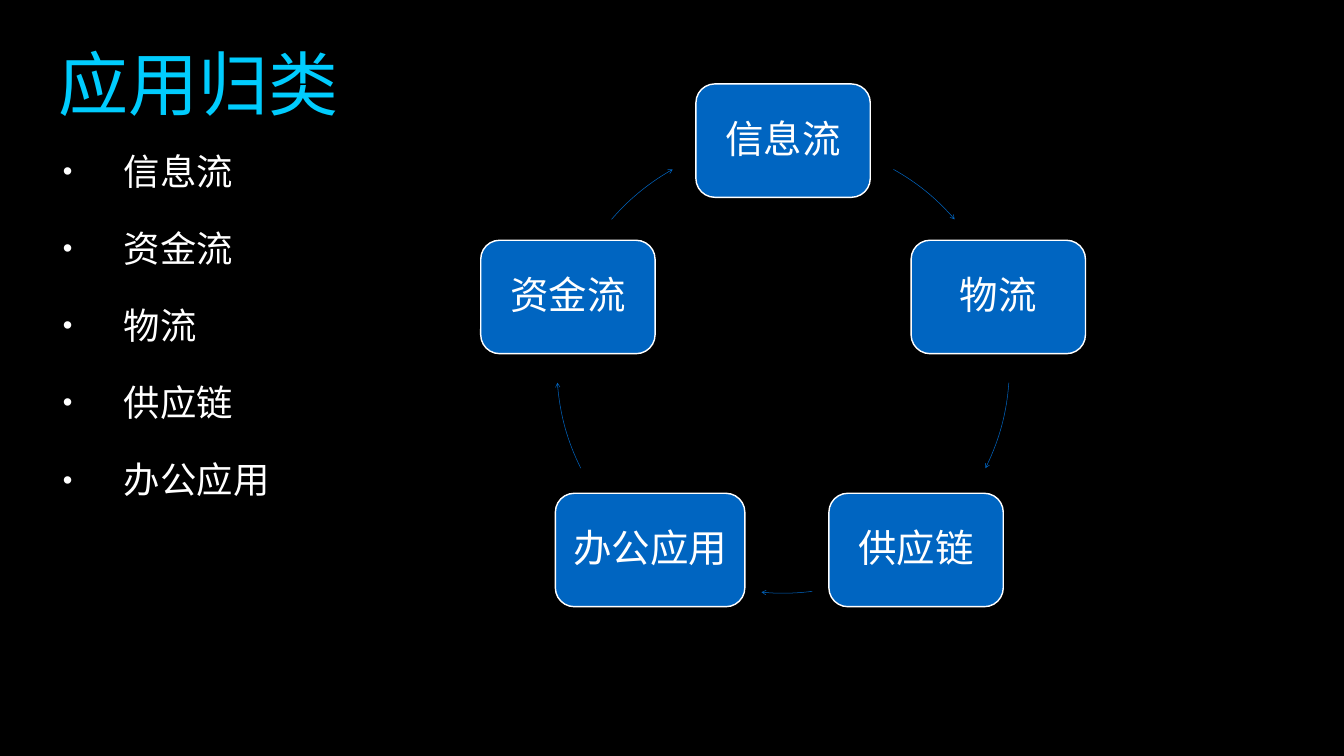
import math
from dataclasses import dataclass

from lxml import etree
from pptx import Presentation
from pptx.dml.color import RGBColor
from pptx.enum.shapes import MSO_SHAPE
from pptx.enum.text import MSO_ANCHOR, MSO_AUTO_SIZE, PP_ALIGN
from pptx.oxml.ns import qn
from pptx.util import Pt

EMU_PER_PX = 9144  # 100 px to the inch
ROUNDED, ARC = MSO_SHAPE.ROUNDED_RECTANGLE, MSO_SHAPE.ARC
LEFT, CENTER = PP_ALIGN.LEFT, PP_ALIGN.CENTER
TOP, MIDDLE = MSO_ANCHOR.TOP, MSO_ANCHOR.MIDDLE
NO_AUTOFIT = MSO_AUTO_SIZE.NONE


@dataclass(frozen=True)
class Theme:
    background: str = "000000"
    title: str = "00CCFE"
    text: str = "FFFFFF"
    accent: str = "0065C1"
    cjk_font: str = "Noto Sans CJK SC"
    node_font: str = "Roboto"
    title_size: int = 100
    body_size: int = 52
    node_size: int = 55
    outline: float = 2
    arrow: float = 0.75


def px(value):
    return round(value * EMU_PER_PX)


def apply_format(target, values):
    for name, value in values.items():
        setattr(target, name, value)


class SlideBuilder:
    """Holds the theme and the slide that is being filled."""

    def __init__(self, slide, theme):
        self.slide, self.theme = slide, theme
        slide.background.fill.solid()
        slide.background.fill.fore_color.rgb = RGBColor.from_string(theme.background)

    def place(self, shape, left, top, width, height):
        apply_format(shape, {"left": px(left), "top": px(top),
                             "width": px(width), "height": px(height)})

    def frame(self, shape, anchor, inset):
        margins = {f"margin_{side}": px(inset) for side in ("left", "top", "right", "bottom")}
        apply_format(shape.text_frame, {"word_wrap": True, "auto_size": NO_AUTOFIT,
                                        "vertical_anchor": anchor, **margins})
        return shape.text_frame

    def add_text(self, paragraph, text, font, size, color, **layout):
        apply_format(paragraph, layout)
        run = paragraph.add_run()
        run.text = text
        apply_format(run.font, {"name": font, "size": Pt(size)})
        run.font.color.rgb = RGBColor.from_string(color)
        etree.SubElement(run.font._element, qn("a:ea"), typeface=self.theme.cjk_font)

    def title(self, text, box):
        shape = self.slide.shapes.title
        self.place(shape, *box)
        frame = self.frame(shape, MIDDLE, 0)
        self.add_text(frame.paragraphs[0], text, self.theme.cjk_font,
                      self.theme.title_size, self.theme.title, alignment=LEFT)

    def bullets(self, items, box, indent):
        shape = self.slide.placeholders[1]
        self.place(shape, *box)
        frame = self.frame(shape, TOP, 8)
        for index, item in enumerate(items):
            paragraph = frame.add_paragraph() if index else frame.paragraphs[0]
            self.add_text(paragraph, item, self.theme.cjk_font, self.theme.body_size,
                          self.theme.text, alignment=LEFT, line_spacing=0.9,
                          space_before=Pt(54))
            properties = paragraph._p.get_or_add_pPr()
            properties.set("marL", str(px(indent)))
            properties.set("indent", str(-px(indent)))
            etree.SubElement(properties, qn("a:buSzPct"), val="75000")
            etree.SubElement(properties, qn("a:buChar"), char="•")

    def node(self, text, center_x, center_y, width, height):
        shape = self.slide.shapes.add_shape(ROUNDED, 0, 0, 0, 0)
        self.place(shape, center_x - width / 2, center_y - height / 2, width, height)
        shape.shadow.inherit = False
        shape.fill.solid()
        shape.fill.fore_color.rgb = RGBColor.from_string(self.theme.accent)
        shape.line.color.rgb = RGBColor.from_string(self.theme.text)
        shape.line.width = Pt(self.theme.outline)
        frame = self.frame(shape, MIDDLE, 23)
        self.add_text(frame.paragraphs[0], text, self.theme.node_font, self.theme.node_size,
                      self.theme.text, alignment=CENTER, line_spacing=0.9, space_after=Pt(19))

    def arc_arrow(self, center_x, center_y, radius, start, end):
        """Draw a clockwise arc between two angles in degrees, 0 pointing right."""
        shape = self.slide.shapes.add_shape(ARC, 0, 0, 0, 0)
        self.place(shape, center_x - radius, center_y - radius, 2 * radius, 2 * radius)
        for index, angle in enumerate((start, end)):
            shape.adjustments[index] = angle % 360 * 0.6  # 60000 units a degree
        shape.shadow.inherit = False
        shape.fill.background()
        shape.line.color.rgb = RGBColor.from_string(self.theme.accent)
        shape.line.width = Pt(self.theme.arrow)
        etree.SubElement(shape.line._get_or_add_ln(), qn("a:tailEnd"), type="arrow")

    def cycle(self, nodes, arcs, center_x, center_y, radius, height):
        """Spread the nodes evenly round a circle from the top, an arrow after each."""
        for index, ((text, width), arc) in enumerate(zip(nodes, arcs)):
            angle = math.radians(360 / len(nodes) * index - 90)
            self.node(text, center_x + radius * math.cos(angle),
                      center_y + radius * math.sin(angle), width, height)
            self.arc_arrow(center_x, center_y, radius, *arc)


def main():
    presentation = Presentation()
    apply_format(presentation, {"slide_width": px(2667), "slide_height": px(1500)})
    slide = presentation.slides.add_slide(presentation.slide_layouts[1])
    builder = SlideBuilder(slide, Theme())
    builder.title("应用归类", (117, 36, 2433, 254))
    builder.bullets(["信息流", "资金流", "物流", "供应链", "办公应用"],
                    (117, 297, 2550, 1052), indent=121)
    nodes = [("信息流", 346), ("物流", 346), ("供应链", 346), ("办公应用", 376), ("资金流", 346)]
    arcs = [(-60.8, -40.7), (4, 26.6), (82.6, 95.5), (153.4, 176), (220.7, 240.8)]
    builder.cycle(nodes, arcs, center_x=1554, center_y=728, radius=449, height=225)
    presentation.save("out.pptx")


if __name__ == "__main__":
    main()
